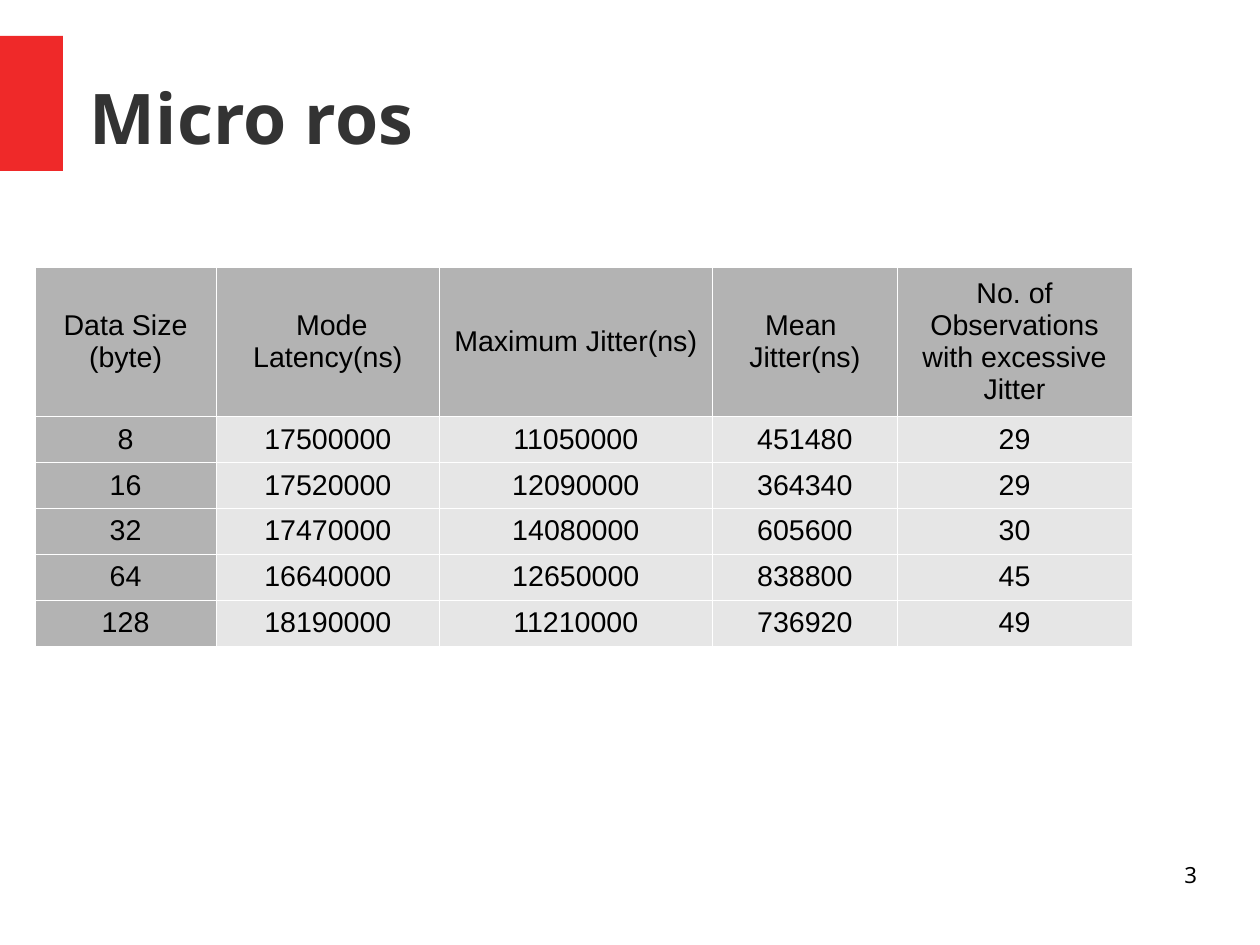
from lxml import etree
from pptx import Presentation
from pptx import util as u
from pptx.dml.color import RGBColor
from pptx.enum import shapes, text
from pptx.oxml.ns import qn

COLORS = {
    "accent": "EF2929",
    "title": "333333",
    "text": "000000",
    "head": "B3B3B3",
    "body": "E6E6E6",
    "border": "FFFFFF",
}
COLUMN_WIDTHS = [4.04, 4.95, 6.07, 4.11, 5.21]
HEADER_HEIGHT, ROW_HEIGHT = 3.31, 1.02
LATENCY_ROWS = [
    ["Data Size (byte)", " Mode Latency(ns)", "Maximum Jitter(ns)",
     "Mean \nJitter(ns)", "No. of Observations with excessive Jitter"],
    ["8", "17500000", "11050000", "451480", "29"],
    ["16", "17520000", "12090000", "364340", "29"],
    ["32", "17470000", "14080000", "605600", "30"],
    ["64", "16640000", "12650000", "838800", "45"],
    ["128", "18190000", "11210000", "736920", "49"],
]


def rgb(name):
    return RGBColor.from_string(COLORS[name])


class SlideBuilder:
    title_font = "Noto Sans"
    table_font = "Arial"

    def __init__(self, slide):
        self.slide = slide

    def fill_text(self, frame, content, size, font, color, align, bold=False):
        """Fill a text frame with one paragraph per line of content."""
        for index, line in enumerate(content.split("\n")):
            paragraph = frame.add_paragraph() if index else frame.paragraphs[0]
            paragraph.alignment = align
            run = paragraph.add_run()
            run.text = line
            run.font.size = u.Pt(size)
            run.font.name = font
            run.font.bold = bold
            run.font.color.rgb = rgb(color)

    def bar(self, box, color):
        bar = self.slide.shapes.add_shape(
            shapes.MSO_SHAPE.RECTANGLE, *map(u.Cm, box))
        bar.shadow.inherit = False
        bar.fill.solid()
        bar.fill.fore_color.rgb = rgb(color)
        bar.line.fill.background()

    def label(self, content, box, size, color, align=text.PP_ALIGN.LEFT,
              anchor=text.MSO_ANCHOR.TOP, bold=False):
        frame = self.slide.shapes.add_textbox(*map(u.Cm, box)).text_frame
        frame.word_wrap = True
        frame.vertical_anchor = anchor
        frame.margin_left = frame.margin_right = 0
        frame.margin_top = frame.margin_bottom = 0
        self.fill_text(frame, content, size, self.title_font, color, align, bold)

    def cell_borders(self, cell):
        properties = cell._tc.get_or_add_tcPr()
        for position, side in enumerate(("lnL", "lnR", "lnT", "lnB")):
            line = etree.Element(qn(f"a:{side}"), w=str(u.Pt(0.06)))
            fill = etree.SubElement(line, qn("a:solidFill"))
            etree.SubElement(fill, qn("a:srgbClr"), val=COLORS["border"])
            properties.insert(position, line)

    def table(self, rows, left, top, widths, heights):
        table = self.slide.shapes.add_table(
            len(rows), len(widths), u.Cm(left), u.Cm(top),
            u.Cm(sum(widths)), u.Cm(sum(heights))).table
        for column, width in zip(table.columns, widths):
            column.width = u.Cm(width)
        for row, height in zip(table.rows, heights):
            row.height = u.Cm(height)
        for r, values in enumerate(rows):
            for c, value in enumerate(values):
                cell = table.cell(r, c)
                cell.vertical_anchor = text.MSO_ANCHOR.MIDDLE
                cell.fill.solid()
                cell.fill.fore_color.rgb = rgb(
                    "head" if r == 0 or c == 0 else "body")
                self.cell_borders(cell)
                self.fill_text(cell.text_frame, value, 18, self.table_font,
                               "text", text.PP_ALIGN.CENTER)


def main():
    deck = Presentation()
    deck.slide_width, deck.slide_height = u.Cm(28), u.Cm(21)
    builder = SlideBuilder(deck.slides.add_slide(deck.slide_layouts[6]))
    builder.bar((0, 0.8, 1.4, 3), "accent")
    builder.label("Micro ros", (2, 0.84, 24.6, 3.5), 44, "title",
                  anchor=text.MSO_ANCHOR.MIDDLE, bold=True)
    heights = [HEADER_HEIGHT] + [ROW_HEIGHT] * (len(LATENCY_ROWS) - 1)
    builder.table(LATENCY_ROWS, 0.77, 5.94, COLUMN_WIDTHS, heights)
    builder.label("3", (20.07, 19.13, 6.53, 1.45), 14, "text",
                  align=text.PP_ALIGN.RIGHT)
    deck.save("out.pptx")


if __name__ == "__main__":
    main()
